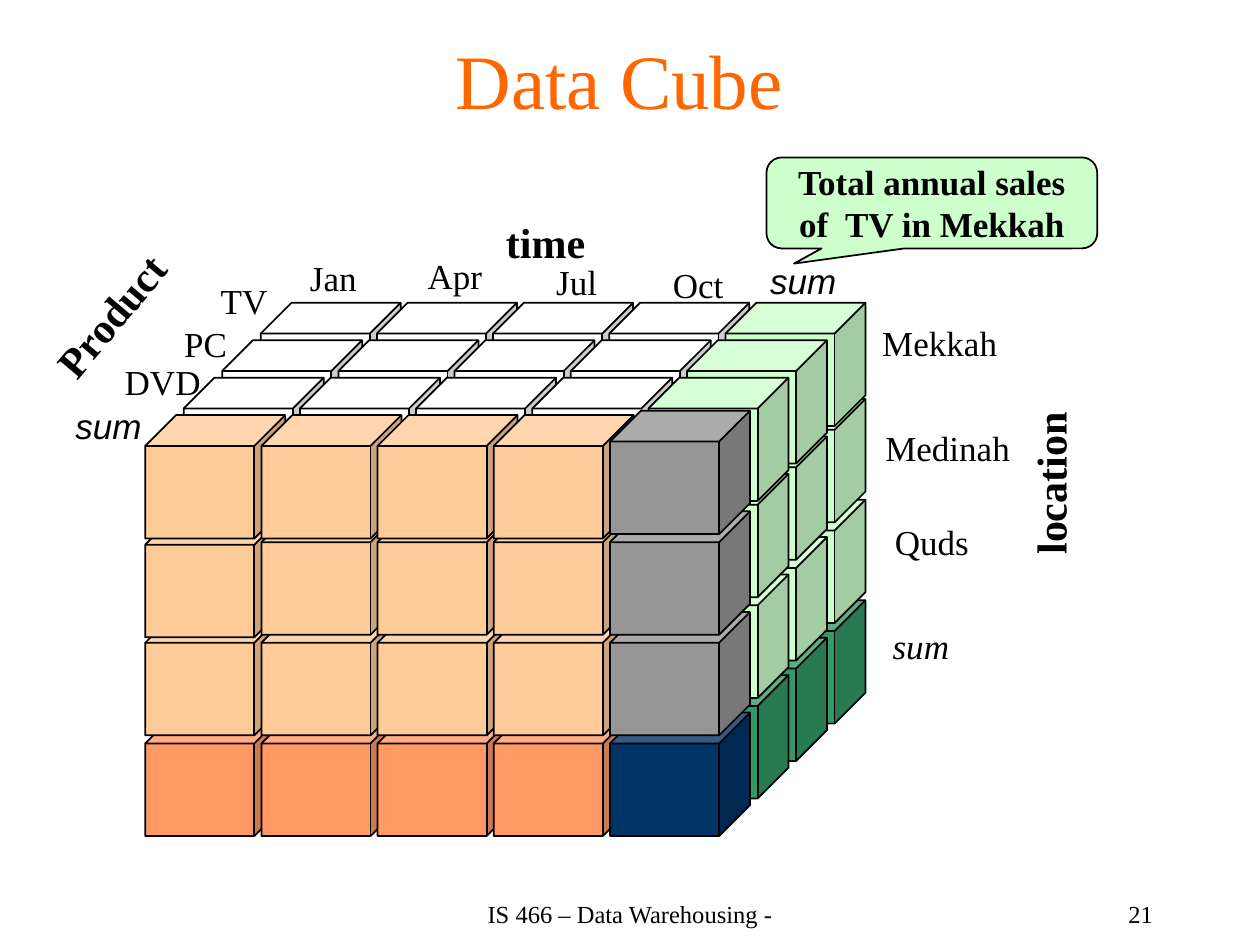
from pptx import Presentation
from pptx.dml.color import RGBColor
from pptx.enum.shapes import MSO_SHAPE
from pptx.enum.text import MSO_ANCHOR, MSO_AUTO_SIZE, PP_ALIGN
from pptx.util import Pt

CUBE = MSO_SHAPE.CUBE
BUBBLE = MSO_SHAPE.ROUNDED_RECTANGULAR_CALLOUT
TOP, MIDDLE = MSO_ANCHOR.TOP, MSO_ANCHOR.MIDDLE
LEFT, CENTER, RIGHT = PP_ALIGN.LEFT, PP_ALIGN.CENTER, PP_ALIGN.RIGHT

SERIF, SANS = "Times New Roman", "Arial"
BLACK = RGBColor(0x00, 0x00, 0x00)
WHITE = RGBColor(0xFF, 0xFF, 0xFF)
ORANGE = RGBColor(0xFF, 0x66, 0x00)
MINT = RGBColor(0xCC, 0xFF, 0xCC)
GREEN = RGBColor(0x33, 0x99, 0x66)
PEACH = RGBColor(0xFF, 0xCC, 0x99)
CORAL = RGBColor(0xFF, 0x99, 0x66)
GRAY = RGBColor(0x96, 0x96, 0x96)
NAVY = RGBColor(0x00, 0x33, 0x66)

COLS, LAYERS = 5, 4
CELL_W, CELL_H = 80, 70.5
COL_STEP = 66.4
STEP_X, STEP_Y = 22, 21.4  # shift of each layer towards the viewer
ROW_TOPS = (0, 55, 112.5, 170)
NUDGES = {(3, 0, 4): -2.5, (3, 1, 0): 1.5}  # (layer, row, column): points down

# text, left, top, width; offsets from the corner of the cube
MEMBERS = (
    ("TV", 36, -17, 41), ("PC", 15, 7.5, 39), ("DVD", -19, 29.5, 58),
    ("Jan", 87, -30, 41), ("Apr", 154.5, -31, 45),
    ("Jul", 227.5, -27.5, 38), ("Oct", 294.5, -26, 43),
    ("Mekkah", 414, 7, 80), ("Medinah", 415.5, 67, 86), ("Quds", 421, 121, 57),
)
# text, left, top, width, rotation
AXES = (
    ("time", 199, -53, 60, 0),
    ("Product", -68, -11, 97, 310.2),
    ("location", 469, 85, 96, 270),
)
# left, top, font
SUMS = ((-47, 54.5, SANS), (350, -28, SANS), (420, 180.5, SERIF))


def write(shape, lines, size, align=CENTER, anchor=MIDDLE, font=SERIF,
          color=BLACK, bold=False, italic=False):
    frame = shape.text_frame
    frame.word_wrap = False
    frame.auto_size = MSO_AUTO_SIZE.NONE
    frame.vertical_anchor = anchor
    for i, line in enumerate(lines):
        para = frame.add_paragraph() if i else frame.paragraphs[0]
        para.alignment = align
        run = para.add_run()
        run.text = line
        run.font.name, run.font.size = font, Pt(size)
        run.font.bold, run.font.italic = bold, italic
        run.font.color.rgb = color


def add_label(slide, box, text, size, **style):
    label = slide.shapes.add_textbox(*map(Pt, box))
    write(label, [text], size, **style)
    return label


def add_solid(slide, kind, box, fill):
    solid = slide.shapes.add_shape(kind, *map(Pt, box))
    solid.shadow.inherit = False
    solid.fill.solid()
    solid.fill.fore_color.rgb = fill
    solid.line.color.rgb = BLACK
    solid.line.width = Pt(1)
    return solid


def pick_color(layer, row, col):
    """Sums take the front layer, the bottom row and the last column."""
    front, base, side = layer == LAYERS - 1, row == len(ROW_TOPS) - 1, col == COLS - 1
    if front and side:
        return NAVY if base else GRAY
    if front:
        return CORAL if base else PEACH
    if side:
        return GREEN if base else MINT
    return WHITE


def add_cube(slide, x, y):
    """Draw the cells that can be seen, from back to front and bottom to top."""
    for layer in range(LAYERS):
        left = x + (LAYERS - 1 - layer) * STEP_X
        for row in reversed(range(len(ROW_TOPS))):
            for col in range(COLS):
                if layer < LAYERS - 1 and row > 0 and col < COLS - 1:
                    continue
                top = (y + layer * STEP_Y + ROW_TOPS[row]
                       + NUDGES.get((layer, row, col), 0))
                box = (left + col * COL_STEP, top, CELL_W, CELL_H)
                add_solid(slide, CUBE, box, pick_color(layer, row, col))


def add_names(slide, x, y):
    for text, dx, dy, width in MEMBERS:
        add_label(slide, (x + dx, y + dy, width, 31.5), text, 20, anchor=TOP)
    for text, dx, dy, width, turn in AXES:
        label = add_label(slide, (x + dx, y + dy, width, 36), text, 24,
                          align=LEFT, anchor=TOP, bold=True)
        label.rotation = turn
    for dx, dy, font in SUMS:
        add_label(slide, (x + dx, y + dy, 50, 31), "sum", 20,
                  align=LEFT, anchor=TOP, font=font, italic=True)


def add_callout(slide, box):
    bubble = add_solid(slide, BUBBLE, box, MINT)
    for i, value in enumerate((-0.417, 0.667, 0.167)):
        bubble.adjustments[i] = value
    write(bubble, ["Total annual sales", "of  TV in Mekkah"], 20, bold=True)


def add_title(slide, box):
    title = slide.shapes.title
    title.left, title.top, title.width, title.height = map(Pt, box)
    write(title, ["Data Cube"], 44, color=ORANGE)


def add_footer(slide, x, y):
    add_label(slide, (x, y, 228, 36), "IS 466 – Data Warehousing -", 14)
    add_label(slide, (x + 270, y, 150, 36), "21", 14, align=RIGHT)


def main():
    deck = Presentation()
    deck.slide_width, deck.slide_height = Pt(720), Pt(540)
    slide = deck.slides.add_slide(deck.slide_layouts[5])
    add_title(slide, (48, 0, 612, 90))
    add_cube(slide, 83, 173)
    add_names(slide, 83, 173)
    add_callout(slide, (438, 90, 189, 52))
    add_footer(slide, 246, 504)
    deck.save("out.pptx")


if __name__ == "__main__":
    main()
